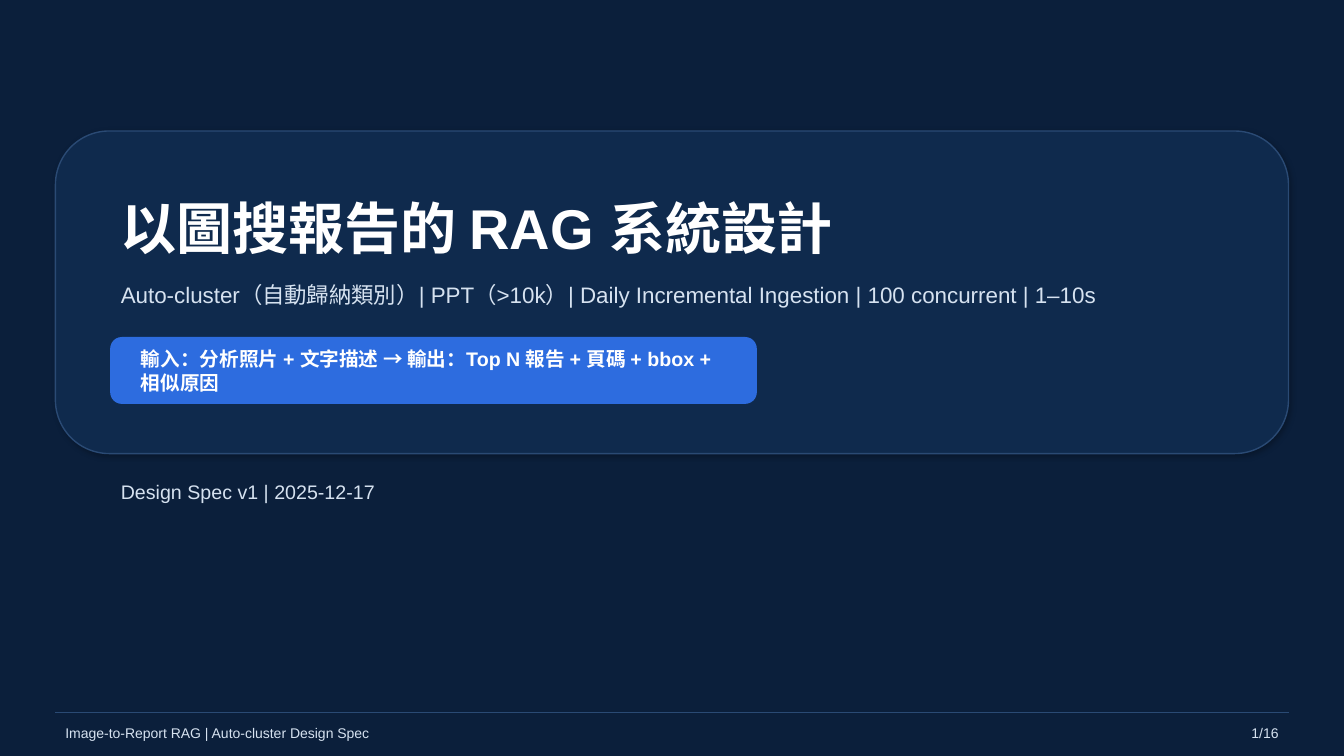
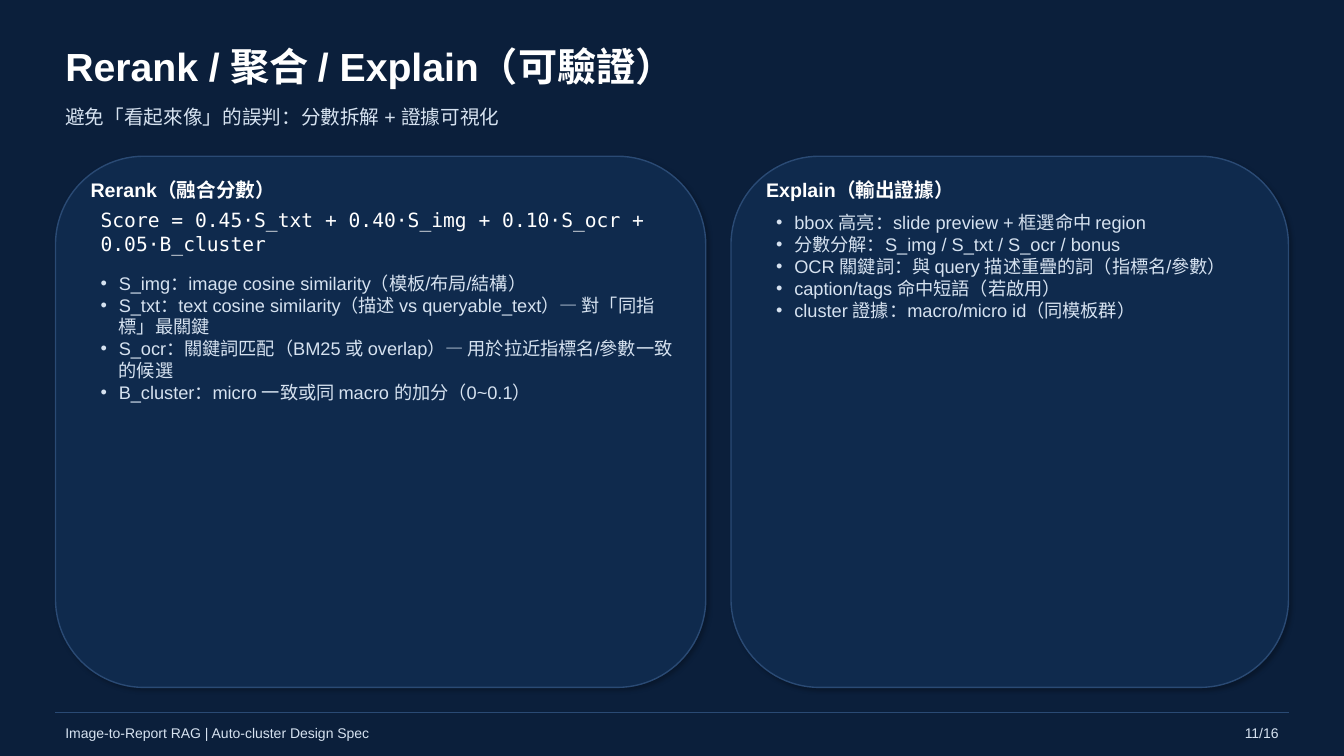
"""Build the cover and rerank slides of the image-to-report RAG design deck."""
import dataclasses

import lxml.etree
import pptx
import pptx.dml.color
import pptx.enum.shapes
import pptx.enum.text
import pptx.oxml.ns
import pptx.util

Inches = pptx.util.Inches
Pt = pptx.util.Pt
qn = pptx.oxml.ns.qn
PP_ALIGN = pptx.enum.text.PP_ALIGN
MSO_ANCHOR = pptx.enum.text.MSO_ANCHOR
MSO_SHAPE = pptx.enum.shapes.MSO_SHAPE


@dataclasses.dataclass(frozen=True)
class Theme:
    """Colours, fonts, text styles and page measures shared by all slides."""

    navy: str = "0B1F3B"
    panel: str = "0F2A4D"
    edge: str = "2A4A74"
    accent: str = "2D6CDF"
    white: str = "FFFFFF"
    pale: str = "D6E2F0"
    sans: str = "Arial"
    mono: str = "DejaVu Sans Mono"
    width: float = 13.33
    height: float = 7.5
    margin: float = 0.55
    gap: float = 0.25
    rule: float = 7.07
    total: int = 16

    @property
    def content(self):
        """Return the width between the side margins."""
        return self.width - 2 * self.margin

    def style(self, name):
        """Return the font values and colour of a named text style."""
        size, bold, colour, font = {
            "cover": (40, True, self.white, self.sans),
            "title": (28, True, self.white, self.sans),
            "tagline": (16, False, self.pale, self.sans),
            "subtitle": (14, False, self.pale, self.sans),
            "heading": (14, True, self.white, self.sans),
            "formula": (14, False, self.white, self.mono),
            "bullet": (13, False, self.pale, self.sans),
            "footer": (10, False, self.pale, self.sans),
        }[name]
        return {"size": Pt(size), "bold": bold, "name": font}, colour


THEME = Theme()


def rgb(colour):
    """Turn a hex string into a colour value."""
    return pptx.dml.color.RGBColor.from_string(colour)


def set_bullet(p, indent=0.18):
    """Give a paragraph a hanging round bullet."""
    pPr = p._p.get_or_add_pPr()
    pPr.set("marL", str(Inches(indent)))
    pPr.set("indent", str(-Inches(indent)))
    lxml.etree.SubElement(pPr, qn("a:buFont"), typeface=THEME.sans)
    lxml.etree.SubElement(pPr, qn("a:buChar"), char="•")


def add_text(s, box, lines, style, align=PP_ALIGN.LEFT, bullets=False):
    """Place one or more paragraphs of one style in a box."""
    tf = s.shapes.add_textbox(*map(Inches, box)).text_frame
    frame = {
        "word_wrap": True,
        "vertical_anchor": MSO_ANCHOR.TOP if bullets else MSO_ANCHOR.MIDDLE,
    }
    for key, value in frame.items():
        setattr(tf, key, value)
    values, colour = THEME.style(style)
    for i, line in enumerate(lines):
        p = tf.add_paragraph() if i else tf.paragraphs[0]
        p.alignment = align
        if bullets:
            set_bullet(p)
        r = p.add_run()
        r.text = line
        for key, value in values.items():
            setattr(r.font, key, value)
        r.font.color.rgb = rgb(colour)


def add_shadow(sp, opacity, blur):
    """Add a soft black shadow to the lower right of a shape."""
    effects = sp._element.spPr.find(qn("a:effectLst"))
    shadow = lxml.etree.SubElement(
        effects, qn("a:outerShdw"), blurRad=str(Pt(blur)), dist=str(Pt(2)),
        dir=str(45 * 60000), algn="tl", rotWithShape="0")
    black = lxml.etree.SubElement(shadow, qn("a:srgbClr"), val="000000")
    lxml.etree.SubElement(black, qn("a:alpha"), val=str(opacity * 1000))


def add_round(s, box, fill, line):
    """Draw a rounded rectangle with a thin outline."""
    sp = s.shapes.add_shape(MSO_SHAPE.ROUNDED_RECTANGLE, *map(Inches, box))
    sp.shadow.inherit = False
    sp.fill.solid()
    sp.fill.fore_color.rgb = rgb(fill)
    sp.line.color.rgb = rgb(line)
    sp.line.width = Pt(1)
    return sp


def add_panel(s, box, opacity=25, blur=3):
    """Draw a shadowed panel."""
    add_shadow(add_round(s, box, THEME.panel, THEME.edge), opacity, blur)


def add_footer(s, number):
    """Draw the footer rule, the deck name and the page number."""
    left, right = THEME.margin, THEME.width - THEME.margin
    rule = s.shapes.add_connector(
        pptx.enum.shapes.MSO_CONNECTOR.STRAIGHT,
        Inches(left), Inches(THEME.rule), Inches(right), Inches(THEME.rule))
    rule.line.color.rgb = rgb(THEME.edge)
    rule.line.width = Pt(1)
    lxml.etree.SubElement(rule._element.spPr, qn("a:effectLst"))
    top = THEME.rule + 0.08
    add_text(s, (left, top, THEME.content - 1.5, 0.25),
             ["Image-to-Report RAG | Auto-cluster Design Spec"], "footer")
    add_text(s, (right - 1, top, 1, 0.25),
             [f"{number}/{THEME.total}"], "footer", PP_ALIGN.RIGHT)


def add_slide(prs):
    """Add a blank slide with the deck background."""
    s = prs.slides.add_slide(prs.slide_layouts[6])
    s.background.fill.solid()
    s.background.fill.fore_color.rgb = rgb(THEME.navy)
    return s


def add_header(s, title, subtitle):
    """Place the slide title and the line below it."""
    add_text(s, (THEME.margin, 0.35, THEME.content, 0.6), [title], "title")
    add_text(s, (THEME.margin, 0.98, THEME.content, 0.35),
             [subtitle], "subtitle")


def add_pill(s, box, text):
    """Draw an accent pill holding a bold line of text."""
    x, y, w, h = box
    add_round(s, box, THEME.accent, THEME.accent)
    add_text(s, (x + 0.2, y + 0.13, w - 0.4, h - 0.25), [text], "heading")


def add_card(s, box, heading, bullets, formula=None):
    """Draw a panel with a heading, an optional formula and bullets."""
    x, y, w, h = box
    add_panel(s, box)
    add_text(s, (x + 0.25, y + 0.18, w - 0.5, 0.3), [heading], "heading")
    top = y + 0.5
    if formula:
        add_text(s, (x + 0.35, top, w - 0.45, 0.5), [formula], "formula")
        top += 0.6
    add_text(s, (x + 0.35, top, w - 0.45, 1.4), bullets, "bullet",
             bullets=True)


def add_hero(s, box):
    """Draw the cover panel with its title, tagline, pill and version."""
    x, y, w, h = box
    inner, width = x + 0.55, w - 1.1
    add_panel(s, box, opacity=28, blur=4)
    add_text(s, (inner, y + 0.55, width, 0.8),
             ["以圖搜報告的 RAG 系統設計"], "cover")
    add_text(s, (inner, y + 1.42, width, 0.4),
             ["Auto-cluster（自動歸納類別）| PPT（>10k）| Daily Incremental "
              "Ingestion | 100 concurrent | 1–10s"], "tagline")
    add_pill(s, (inner, y + 2.05, 6.4, 0.65),
             "輸入：分析照片 + 文字描述 → 輸出：Top N 報告 + 頁碼 + bbox + 相似原因")
    add_text(s, (inner, y + h + 0.2, width, 0.35),
             ["Design Spec v1 | 2025-12-17"], "subtitle")


def build_cover(prs):
    """Build the cover slide."""
    s = add_slide(prs)
    add_hero(s, (THEME.margin, 1.3, THEME.content, 3.2))
    add_footer(s, 1)


def build_rerank(prs):
    """Build the slide on score fusion and evidence."""
    s = add_slide(prs)
    add_header(s, "Rerank / 聚合 / Explain（可驗證）",
               "避免「看起來像」的誤判：分數拆解 + 證據可視化")
    left, top, wide = THEME.margin, 1.55, 6.45
    height = THEME.rule - THEME.gap - top
    add_card(s, (left, top, wide, height), "Rerank（融合分數）", [
        "S_img：image cosine similarity（模板/布局/結構）",
        "S_txt：text cosine similarity（描述 vs queryable_text）— 對「同指標」最關鍵",
        "S_ocr：關鍵詞匹配（BM25 或 overlap）— 用於拉近指標名/參數一致的候選",
        "B_cluster：micro 一致或同 macro 的加分（0~0.1）",
    ], "Score = 0.45·S_txt + 0.40·S_img + 0.10·S_ocr + 0.05·B_cluster")
    narrow = THEME.content - wide - THEME.gap
    add_card(s, (left + wide + THEME.gap, top, narrow, height),
             "Explain（輸出證據）", [
        "bbox 高亮：slide preview + 框選命中 region",
        "分數分解：S_img / S_txt / S_ocr / bonus",
        "OCR 關鍵詞：與 query 描述重疊的詞（指標名/參數）",
        "caption/tags 命中短語（若啟用）",
        "cluster 證據：macro/micro id（同模板群）",
    ])
    add_footer(s, 11)


def main():
    """Build and save the deck."""
    prs = pptx.Presentation()
    size = {"slide_width": THEME.width, "slide_height": THEME.height}
    for key, value in size.items():
        setattr(prs, key, Inches(value))
    build_cover(prs)
    build_rerank(prs)
    prs.save("out.pptx")


if __name__ == "__main__":
    main()
